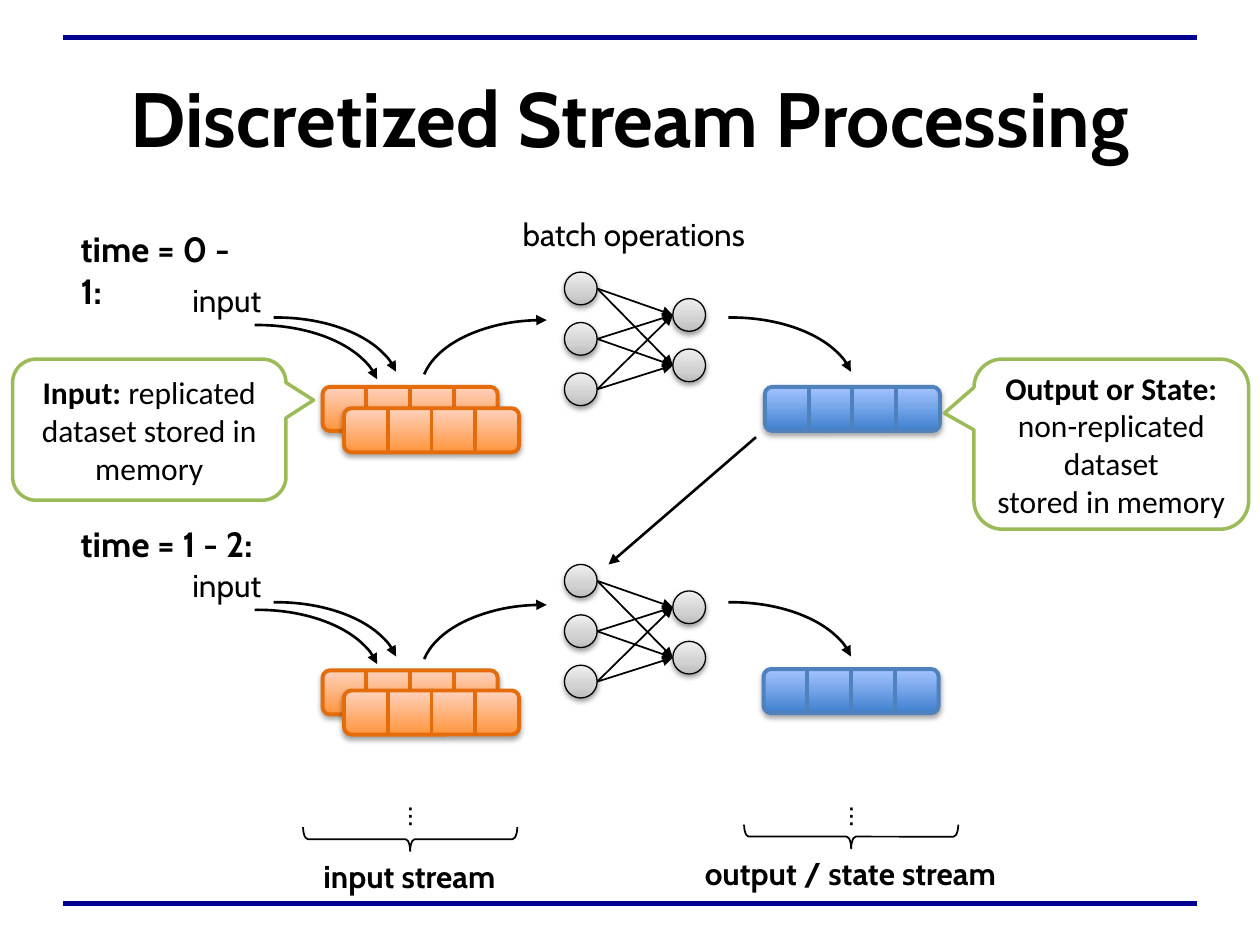
"""Build the Discretized Stream Processing slide."""
from copy import deepcopy
from dataclasses import dataclass
from itertools import product

from lxml.etree import SubElement
from pptx import Presentation
from pptx.dml.color import RGBColor
from pptx.enum.shapes import MSO_CONNECTOR, MSO_SHAPE
from pptx.enum.text import MSO_ANCHOR, MSO_AUTO_SIZE, PP_ALIGN
from pptx.oxml.ns import qn
from pptx.util import Inches, Pt

BLACK = RGBColor(0x00, 0x00, 0x00)
WHITE = RGBColor(0xFF, 0xFF, 0xFF)
NAVY = RGBColor(0x00, 0x00, 0x90)
GREEN = RGBColor(0x9B, 0xBB, 0x59)
BLUE_LINE = RGBColor(0x4F, 0x81, 0xBD)
BLUES = (RGBColor(0x3F, 0x80, 0xCE), RGBColor(0xA4, 0xC4, 0xFF))
ORANGE_LINE = RGBColor(0xE4, 0x6C, 0x0A)
ORANGES = (RGBColor(0xFF, 0x95, 0x3E), RGBColor(0xFF, 0xD2, 0xBD))
GRAYS = (RGBColor(0xBD, 0xBD, 0xBD), RGBColor(0xEE, 0xEE, 0xEE))
MIDDLE_GRAY = RGBColor(0xD1, 0xD1, 0xD1)
NODE_SIZE = 0.26
DATASET_WIDTH, DATASET_HEIGHT = 1.39, 0.35


@dataclass(frozen=True)
class Batch:
    label: str
    label_top: float
    label_width: float
    label_wraps: bool
    input_top: float
    arrow_top: float
    rising_arrow_top: float
    network_top: float
    output_left: float
    output_top: float
    input_dataset_tops: tuple[float, float]


@dataclass(frozen=True)
class Stream:
    label: str
    center: float
    label_center: float
    label_top: float
    label_width: float
    brace_top: float


@dataclass(frozen=True)
class Callout:
    box: tuple[float, float, float, float]
    tip: tuple[float, float]
    paragraphs: list


BATCHES = (
    Batch("time = 0 - 1:", 1.76, 1.4, True, 2.23, 2.52, 2.54, 2.16, 6.07, 3.07, (3.07, 3.24)),
    Batch("time = 1 - 2:", 4.1, 1.39, False, 4.49, 4.78, 4.8, 4.48, 6.06, 5.31, (5.32, 5.48)),
)
STREAMS = (
    Stream("input stream", 3.25, 3.25, 6.75, 1.78, 5.81),
    Stream("output / state stream", 6.75, 6.75, 6.73, 2.76, 5.79),
)
CALLOUTS = (
    Callout((0.1, 2.85, 2.17, 1.12), (0.601, -0.209),
            [[("Input:", True), (" replicated dataset stored in memory", False)]]),
    Callout((7.73, 2.85, 2.18, 1.35), (-0.608, -0.182),
            [[("Output or State: ", True), ("non-replicated dataset", False)],
             [("stored in memory", False)]]),
)


def write_text(shape, paragraphs: list, *, size: float = 18, font: str = "Cabin",
               align=PP_ALIGN.CENTER, anchor=MSO_ANCHOR.TOP, wrap: bool = True,
               insets: tuple[float, float] = (0.1, 0.05), grow: bool = False) -> None:
    frame = shape.text_frame
    frame.word_wrap = wrap
    frame.auto_size = MSO_AUTO_SIZE.SHAPE_TO_FIT_TEXT if grow else MSO_AUTO_SIZE.NONE
    frame.vertical_anchor = anchor
    frame.margin_left = frame.margin_right = Inches(insets[0])
    frame.margin_top = frame.margin_bottom = Inches(insets[1])
    for index, runs in enumerate(paragraphs):
        paragraph = frame.add_paragraph() if index else frame.paragraphs[0]
        paragraph.alignment = align
        for text, bold in runs:
            run = paragraph.add_run()
            run.text = text
            run.font.name, run.font.size, run.font.bold = font, Pt(size), bold
            run.font.color.rgb = BLACK


def add_label(slide, text: str, box: tuple, *, bold: bool = False,
              rotation: float = 0, **text_format) -> None:
    label = slide.shapes.add_textbox(*map(Inches, box))
    label.rotation = rotation
    write_text(label, [[(text, bold)]], grow=True, **text_format)


def add_shape(slide, kind, box: tuple, color: RGBColor, width: float, adjustments: tuple = ()):
    shape = slide.shapes.add_shape(kind, *map(Inches, box))
    shape.shadow.inherit = False
    shape.fill.background()
    shape.line.color.rgb = color
    shape.line.width = Pt(width)
    for index, value in enumerate(adjustments):
        shape.adjustments[index] = value
    return shape


def add_line(slide, start: tuple, end: tuple, color: RGBColor = BLACK,
             width: float = 1, arrow: bool = False):
    line = slide.shapes.add_connector(MSO_CONNECTOR.STRAIGHT, *map(Inches, (*start, *end)))
    line.line.color.rgb = color
    line.line.width = Pt(width)
    if arrow:
        add_arrowhead(line, "a:tailEnd")
    SubElement(line._element.spPr, qn("a:effectLst"))
    return line


def add_arrowhead(shape, end: str) -> None:
    SubElement(shape.line._get_or_add_ln(), qn(end), type="triangle")


def add_arc(slide, left: float, top: float, flipped: bool = True) -> None:
    arc = add_shape(slide, MSO_SHAPE.ARC, (left, top, 1.95, 1.12), BLACK, 1.5, (112.665, 163.439))
    if flipped:
        arc._element.spPr.find(qn("a:xfrm")).set("flipH", "1")
    add_arrowhead(arc, "a:headEnd" if flipped else "a:tailEnd")


def shade(shape, colors: tuple, distance: float, opacity: int) -> None:
    shape.fill.gradient()
    shape.fill.gradient_angle = 90
    for stop, color, position in zip(shape.fill.gradient_stops, colors, (0, 1)):
        stop.color.rgb = color
        stop.position = position
    effects = shape._element.spPr.find(qn("a:effectLst"))
    shadow = SubElement(effects, qn("a:outerShdw"), blurRad=str(Pt(3.1)),
                        dist=str(Pt(distance)), dir="5400000", rotWithShape="0")
    shadow_color = SubElement(shadow, qn("a:srgbClr"), val=str(BLACK))
    SubElement(shadow_color, qn("a:alpha"), val=str(opacity * 1000))


def add_dataset(slide, left: float, top: float, colors: tuple, line_color: RGBColor) -> None:
    dataset = add_shape(slide, MSO_SHAPE.FLOWCHART_ALTERNATE_PROCESS,
                        (left, top, DATASET_WIDTH, DATASET_HEIGHT), line_color, 2.25)
    shade(dataset, colors, 1.8, 35)
    for part in (1, 2, 3):
        x = left + DATASET_WIDTH * part / 4
        divider = add_line(slide, (x, top), (x, top + DATASET_HEIGHT), line_color, 2.25)
        if part == 2:
            divider.begin_connect(dataset, 0)
            divider.end_connect(dataset, 2)


def add_node(slide, left: float, top: float) -> None:
    node = add_shape(slide, MSO_SHAPE.OVAL, (left, top, NODE_SIZE, NODE_SIZE), BLACK, 0.75)
    shade(node, GRAYS, 1.6, 38)
    stops = node._element.spPr.find(qn("a:gradFill")).find(qn("a:gsLst"))
    middle = deepcopy(stops[0])
    middle.set("pos", "35000")
    middle.find(qn("a:srgbClr")).set("val", str(MIDDLE_GRAY))
    stops.insert(1, middle)


def add_network(slide, top: float) -> None:
    sources = [(4.48, top + 0.4 * row) for row in range(3)]
    targets = [(5.34, top + 0.21 + 0.4 * row) for row in range(2)]
    for left, node_top in sources + targets:
        add_node(slide, left, node_top)
    for (left, start), (right, end) in product(sources, targets):
        add_line(slide, (left + NODE_SIZE, start + NODE_SIZE / 2),
                 (right, end + NODE_SIZE / 2), arrow=True)


def add_batch(slide, batch: Batch) -> None:
    add_label(slide, batch.label, (0.64, batch.label_top, batch.label_width, 0.44), bold=True,
              size=20, align=PP_ALIGN.LEFT, insets=(0, 0.05), wrap=batch.label_wraps)
    add_label(slide, "input", (1.38, batch.input_top, 0.84, 0.37), insets=(0.1, 0), wrap=False)
    add_arc(slide, 1.07, batch.arrow_top + 0.06)
    add_arc(slide, 1.22, batch.arrow_top)
    add_arc(slide, 3.34, batch.rising_arrow_top, flipped=False)
    add_arc(slide, 4.83, batch.arrow_top)
    add_network(slide, batch.network_top)
    add_dataset(slide, batch.output_left, batch.output_top, BLUES, BLUE_LINE)
    for left, top in zip((2.56, 2.73), batch.input_dataset_tops):
        add_dataset(slide, left, top, ORANGES, ORANGE_LINE)


def add_stream(slide, stream: Stream) -> None:
    brace = add_shape(slide, MSO_SHAPE.RIGHT_BRACE, (stream.center - 0.09, stream.brace_top, 0.19, 1.7),
                      BLACK, 1, (0.194, 0.5))
    brace.rotation = 90
    add_label(slide, stream.label, (stream.label_center - stream.label_width / 2, stream.label_top,
                                    stream.label_width, 0.4), bold=True)
    add_label(slide, "…", (stream.center - 0.32, 6.28, 0.48, 0.4), rotation=270)


def add_callout(slide, callout: Callout) -> None:
    shape = add_shape(slide, MSO_SHAPE.ROUNDED_RECTANGULAR_CALLOUT, callout.box, GREEN, 2,
                      (*callout.tip, 0.167))
    shape.fill.solid()
    shape.fill.fore_color.rgb = WHITE
    write_text(shape, callout.paragraphs, font="Calibri", anchor=MSO_ANCHOR.MIDDLE, insets=(0, 0.05))


def main() -> None:
    presentation = Presentation()
    presentation.slide_width, presentation.slide_height = Inches(10), Inches(7.5)
    slide = presentation.slides.add_slide(presentation.slide_layouts[5])
    for y in (0.3, 7.17):
        add_line(slide, (0.5, y), (9.5, y), NAVY, 3)
    title = slide.shapes.title
    title.left, title.top, title.width, title.height = map(Inches, (0.5, 0.3, 9, 1.25))
    write_text(title, [[("Discretized Stream Processing", True)]], size=44, anchor=MSO_ANCHOR.MIDDLE)
    add_label(slide, "batch operations", (4.05, 1.71, 1.96, 0.3), insets=(0.1, 0), wrap=False)
    for batch in BATCHES:
        add_batch(slide, batch)
    add_line(slide, (6, 3.47), (4.83, 4.48), width=1.5, arrow=True)
    for callout in CALLOUTS:
        add_callout(slide, callout)
    for stream in STREAMS:
        add_stream(slide, stream)
    presentation.save("out.pptx")


if __name__ == "__main__":
    main()
